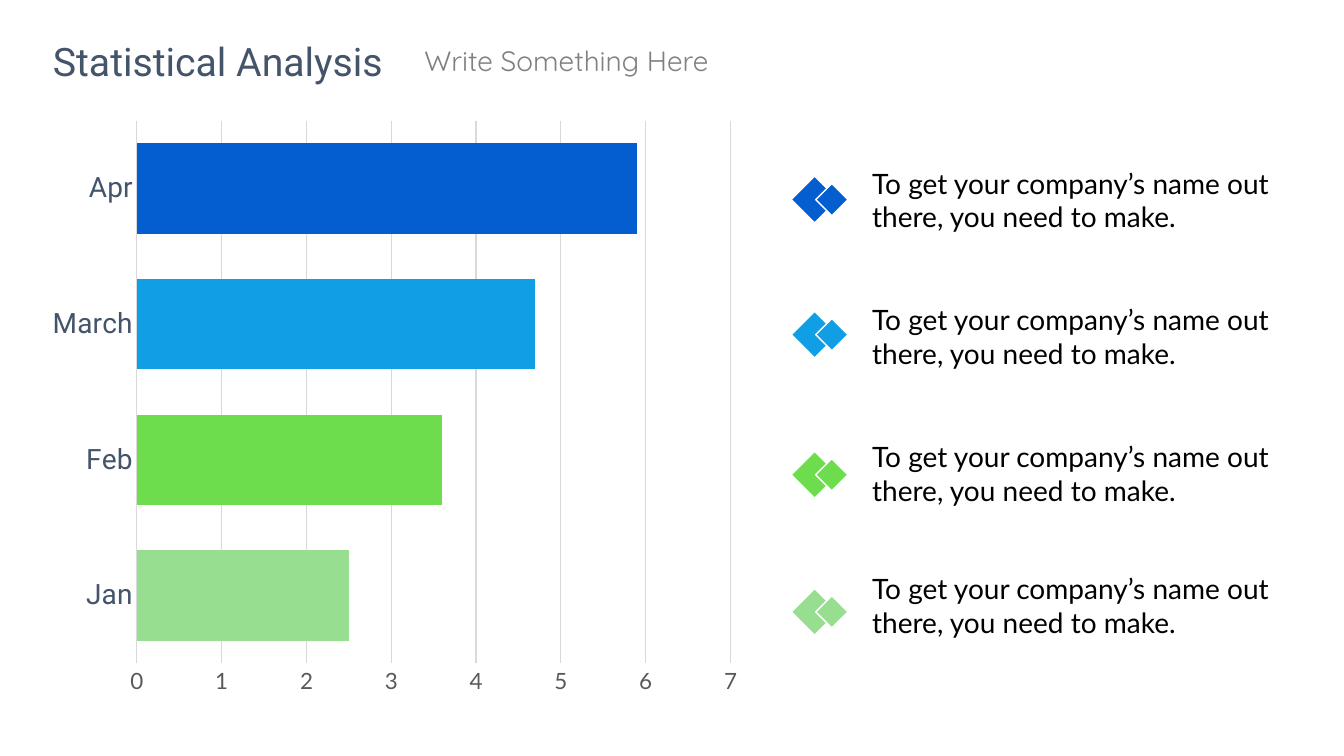
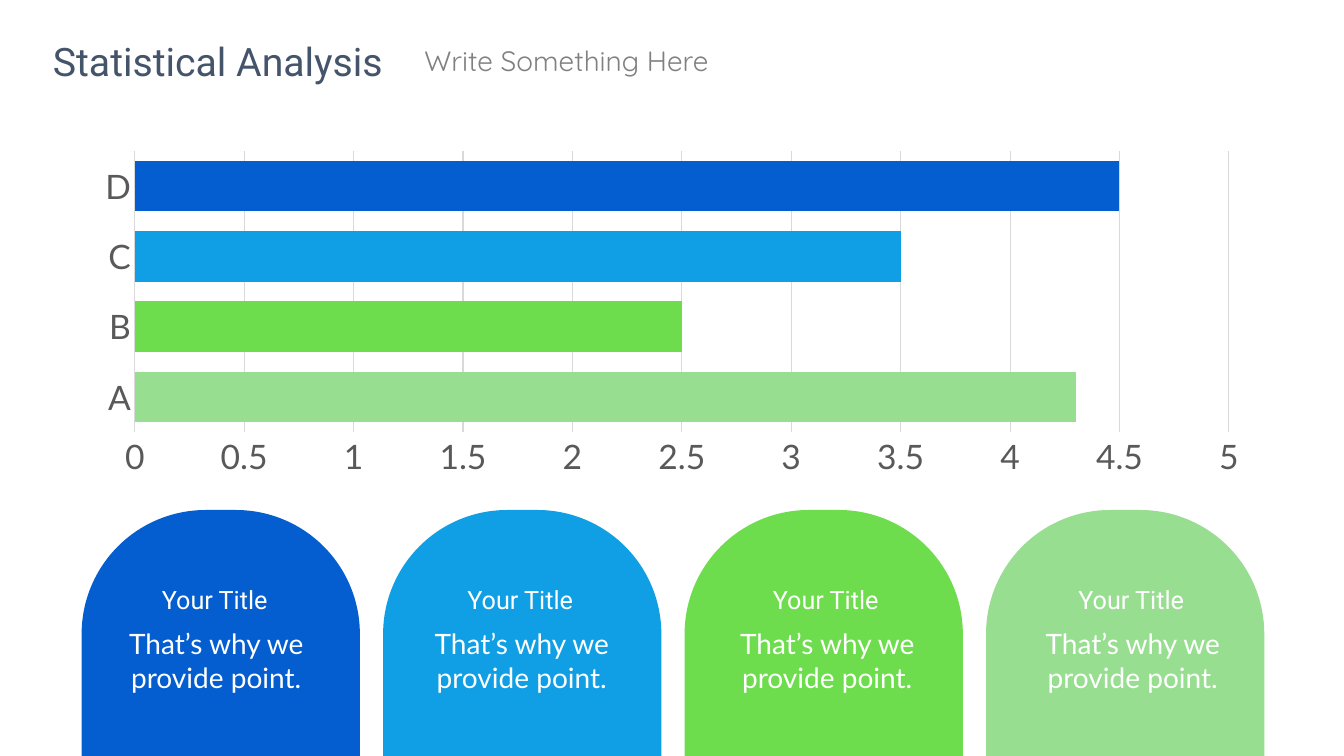
from dataclasses import dataclass

import pptx
import pptx.chart.data
import pptx.dml.color
import pptx.enum.chart
import pptx.enum.shapes
import pptx.enum.text
import pptx.util

Inches = pptx.util.Inches
Pt = pptx.util.Pt
SHAPE = pptx.enum.shapes.MSO_SHAPE
ALIGN = pptx.enum.text.PP_ALIGN
TICK = pptx.enum.chart.XL_TICK_MARK

# Shared colours, dark to light
PALETTE = ("045ED0", "109FE4", "6EDD4D", "98DE91")
WHITE, BLACK, SLATE, GREY, AXIS, GRID = (
    "FFFFFF", "000000", "44546A", "808080", "595959", "D9D9D9")


@dataclass(frozen=True)
class TextStyle:
    name: str
    size: int
    color: str
    align: ALIGN = ALIGN.LEFT
    inset: tuple[float, float] = (0.1, 0.05)


@dataclass(frozen=True)
class BarChart:
    box: tuple[float, float, float, float]
    cats: tuple[str, ...]
    vals: tuple[float, ...]
    gap: int
    maximum: float
    unit: float
    cat_style: TextStyle
    val_style: TextStyle


@dataclass(frozen=True)
class LegendRow:
    color: str
    icon_top: float
    text_top: float


TITLE = TextStyle("Roboto", 28, SLATE, ALIGN.CENTER)
SUBTITLE = TextStyle("Quicksand", 20, GREY)
ROW_TEXT = TextStyle("Lato", 20, BLACK, inset=(0.24, 0.12))
CARD_TITLE = TextStyle("Roboto", 18, WHITE, ALIGN.CENTER)
CARD_TEXT = TextStyle("Lato", 20, WHITE, ALIGN.CENTER)
LARGE_LABEL = TextStyle("Lato", 24, AXIS)

MONTHS = BarChart((0.38, 1.08, 7.07, 5.92), ("Jan", "Feb", "March", "Apr"),
                  (2.5, 3.6, 4.7, 5.9), 50, 7, 1,
                  TextStyle("Roboto", 20, SLATE), TextStyle("Lato", 16, AXIS))
LETTERS = BarChart((0.81, 1.43, 11.71, 3.37), ("A", "B", "C", "D"),
                   (4.3, 2.5, 3.5, 4.5), 39, 5, 0.5, LARGE_LABEL, LARGE_LABEL)
ROWS = [LegendRow(*row) for row in zip(
    PALETTE, (1.76, 3.1, 4.49, 5.85), (1.53, 2.88, 4.24, 5.55))]


def rgb(color: str) -> pptx.dml.color.RGBColor:
    return pptx.dml.color.RGBColor.from_string(color)


def set_all(target, values: dict) -> None:
    for key, value in values.items():
        setattr(target, key, value)


def set_font(font, style: TextStyle) -> None:
    set_all(font, {"name": style.name, "size": Pt(style.size), "bold": False})
    font.color.rgb = rgb(style.color)


def set_line(line, color: str, width: float) -> None:
    line.color.rgb = rgb(color)
    line.width = Pt(width)


def add_text(s, text: str, box: tuple[float, ...], style: TextStyle) -> None:
    tf = s.shapes.add_textbox(*map(Inches, box)).text_frame
    across, down = map(Inches, style.inset)
    set_all(tf, {"word_wrap": True, "margin_left": across, "margin_right": across,
                 "margin_top": down, "margin_bottom": down})
    p = tf.paragraphs[0]
    p.alignment = style.align
    r = p.add_run()
    r.text = text
    set_font(r.font, style)


def add_filled(shapes, kind: SHAPE, box: tuple[float, ...], color: str):
    sp = shapes.add_shape(kind, *map(Inches, box))
    sp.shadow.inherit = False
    sp.fill.solid()
    sp.fill.fore_color.rgb = rgb(color)
    sp.line.fill.background()
    return sp


def add_bar_chart(s, spec_: BarChart) -> None:
    data = pptx.chart.data.CategoryChartData()
    data.categories = spec_.cats
    data.add_series("Series 1", spec_.vals)
    chart = s.shapes.add_chart(pptx.enum.chart.XL_CHART_TYPE.BAR_CLUSTERED,
                               *map(Inches, spec_.box), data).chart
    set_all(chart, {"has_title": False, "has_legend": False})
    set_font(chart.font, spec_.val_style)

    # Bars, lightest at the bottom
    plot = chart.plots[0]
    set_all(plot, {"gap_width": spec_.gap, "vary_by_categories": False})
    for i, color in enumerate(reversed(PALETTE)):
        fill = plot.series[0].points[i].format.fill
        fill.solid()
        fill.fore_color.rgb = rgb(color)

    # Axes
    cat, val = chart.category_axis, chart.value_axis
    for axis, style in ((cat, spec_.cat_style), (val, spec_.val_style)):
        set_all(axis, {"major_tick_mark": TICK.NONE, "minor_tick_mark": TICK.NONE})
        set_font(axis.tick_labels.font, style)
    set_line(cat.format.line, GRID, 0.75)
    set_all(val, {"minimum_scale": 0, "maximum_scale": spec_.maximum,
                  "major_unit": spec_.unit, "has_major_gridlines": True})
    val.format.line.fill.background()
    set_line(val.major_gridlines.format.line, GRID, 0.75)


def add_slide(prs, chart: BarChart):
    s = prs.slides.add_slide(prs.slide_layouts[6])
    add_text(s, "Statistical Analysis", (0.4, 0.32, 3.52, 0.57), TITLE)
    add_text(s, "Write Something Here", (4.11, 0.38, 4, 0.44), SUBTITLE)
    add_bar_chart(s, chart)
    return s


def add_legend_row(s, row: LegendRow) -> None:
    add_text(s, "To get your company’s name out there, you need to make.",
             (8.41, row.text_top, 4.73, 0.91), ROW_TEXT)
    icon = s.shapes.add_group_shape().shapes
    add_filled(icon, SHAPE.DIAMOND, (7.86, row.icon_top, 0.44, 0.44), row.color)
    small = add_filled(icon, SHAPE.DIAMOND,
                       (8.09, row.icon_top + 0.06, 0.32, 0.32), row.color)
    set_line(small.line, WHITE, 1)


def add_card(s, i: int, color: str) -> None:
    card = add_filled(s.shapes, SHAPE.ROUND_2_SAME_RECTANGLE,
                      (0.81 + 2.99 * i, 5.06, 2.76, 2.46), color)
    card.adjustments[0] = 0.5
    card.adjustments[1] = 0
    shift = 3.03 * i
    add_text(s, "Your Title", (1.46 + shift, 5.75, 1.34, 0.4), CARD_TITLE)
    add_text(s, "That’s why we provide point.",
             (0.7 + shift, 6.17, 2.89, 0.77), CARD_TEXT)


def main() -> None:
    prs = pptx.Presentation()
    set_all(prs, {"slide_width": Inches(13.33), "slide_height": Inches(7.5)})

    # Monthly bars with a legend
    s = add_slide(prs, MONTHS)
    for row in ROWS:
        add_legend_row(s, row)

    # Lettered bars above four cards
    s = add_slide(prs, LETTERS)
    for i, color in enumerate(PALETTE):
        add_card(s, i, color)

    prs.save("out.pptx")


if __name__ == "__main__":
    main()
